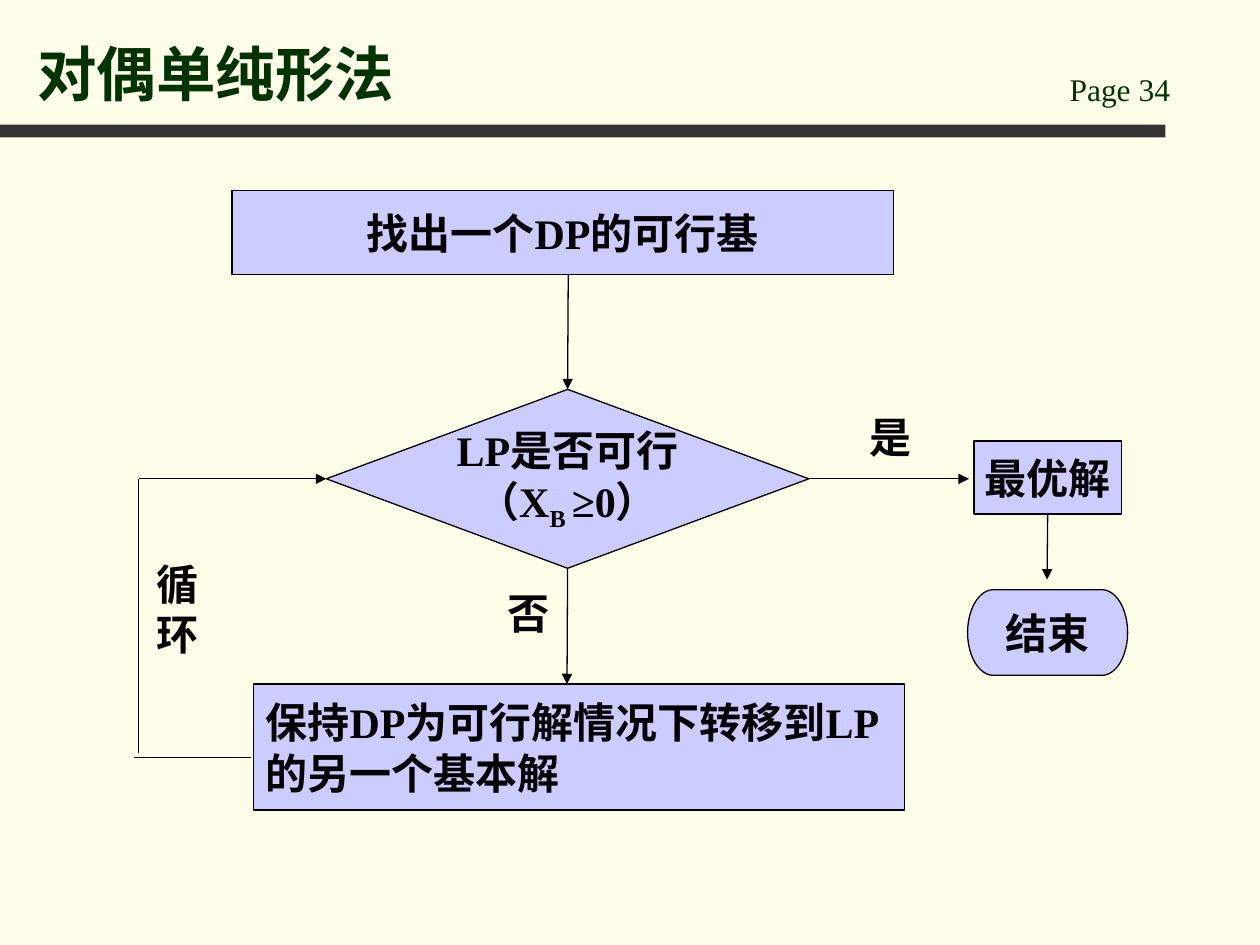
from collections import namedtuple

from lxml.etree import SubElement
from pptx import Presentation
from pptx.dml.color import RGBColor
from pptx.enum.shapes import MSO_CONNECTOR as Connector, MSO_SHAPE as Shape
from pptx.enum.text import MSO_ANCHOR as Anchor, PP_ALIGN as Align
from pptx.oxml.ns import qn
from pptx.util import Inches, Pt

COLUMNS, ROWS = 100, 75
CELL = Inches(0.1)
FONT = "Times New Roman"
GREEN, BLACK, LILAC = "003300", "000000", "CCCCFF"
BODY = {"size": Pt(24), "bold": True, "name": FONT}

Box = namedtuple("Box", "left top width height")


def color(hex_value):
    return RGBColor.from_string(hex_value)


def cells(*counts):
    return [round(count * CELL) for count in counts]


def inside(region, left, top, width, height):
    return Box(region.left + left, region.top + top, width, height)


def write(shape, paragraphs, ink=BLACK, font=BODY, align=Align.LEFT,
          anchor=Anchor.TOP, wrap=False):
    """Each paragraph is a string, or a list of (text, baseline) runs."""
    frame = shape.text_frame
    frame.word_wrap = wrap
    frame.vertical_anchor = anchor
    for index, content in enumerate(paragraphs):
        paragraph = frame.add_paragraph() if index else frame.paragraphs[0]
        paragraph.alignment = align
        runs = [(content, 0)] if isinstance(content, str) else content
        for text, baseline in runs:
            run = paragraph.add_run()
            run.text = text
            for name, value in font.items():
                setattr(run.font, name, value)
            run.font.color.rgb = color(ink)
            if baseline:
                run.font._element.set("baseline", str(baseline * 1000))


def add_text(slide, box, paragraphs, **style):
    write(slide.shapes.add_textbox(*cells(*box)), paragraphs, **style)


def add_block(slide, kind, box, fill, outline=None):
    shape = slide.shapes.add_shape(kind, *cells(*box))
    shape.shadow.inherit = False
    shape.fill.solid()
    shape.fill.fore_color.rgb = color(fill)
    if outline:
        shape.line.color.rgb = color(outline)
        shape.line.width = Pt(0.75)
    else:
        shape.line.fill.background()
    return shape


def add_line(slide, region, start, end, arrow=True):
    points = [(region.left + x, region.top + y) for x, y in (start, end)]
    line = slide.shapes.add_connector(
        Connector.STRAIGHT, *cells(*points[0], *points[1]))
    line.line.color.rgb = color(BLACK)
    line.line.width = Pt(0.75)
    if arrow:
        SubElement(line.line._get_or_add_ln(), qn("a:tailEnd"), type="triangle")
    SubElement(line._element.spPr, qn("a:effectLst"))
    return line


def header(slide, region):
    add_block(slide, Shape.RECTANGLE, inside(region, 0, 9.9, 92.5, 1), "333333")
    add_text(slide, inside(region, 83.9, 5.1, 14.2, 4), ["Page 34"], ink=GREEN,
             font={"size": Pt(18), "name": FONT}, wrap=True)
    add_text(slide, inside(region, 2, 1.3, 80.3, 7.8), ["对偶单纯形法"], ink=GREEN,
             font={**BODY, "size": Pt(34)}, anchor=Anchor.BOTTOM, wrap=True)


def flowchart(slide, region):
    condition = [("（X", 0), ("B ", -25), ("≥0）", 0)]
    steps = {
        "start": (Shape.RECTANGLE, (8.4, 0.1, 52.5, 6.7), ["找出一个DP的可行基"]),
        "check": (Shape.DIAMOND, (15.9, 15.9, 38.3, 14.2),
                  ["LP是否可行", condition]),
        "move": (Shape.RECTANGLE, (10.1, 39.3, 51.7, 10),
                 ["保持DP为可行解情况下转移到LP的另一个基本解"]),
        "optimum": (Shape.RECTANGLE, (67.3, 20, 11.7, 5.8), ["最优解"]),
        "end": (Shape.FLOWCHART_TERMINATOR, (66.8, 31.8, 12.7, 6.8), ["结束"]),
    }
    blocks = {}
    for name, (kind, place, paragraphs) in steps.items():
        block = add_block(slide, kind, inside(region, *place), LILAC, BLACK)
        write(block, paragraphs, anchor=Anchor.MIDDLE,
              align=Align.LEFT if name == "move" else Align.CENTER,
              wrap=name in ("move", "end"))
        blocks[name] = block

    check, optimum = blocks["check"], blocks["optimum"]
    add_line(slide, region, (35.1, 6.8), (35.1, 15.9)).end_connect(check, 0)
    add_line(slide, region, (35, 30.1), (35, 39.3)).begin_connect(check, 2)
    add_line(slide, region, (54.2, 23), (66.9, 23)).begin_connect(check, 3)
    add_line(slide, region, (73.1, 25.8), (73.1, 31)).begin_connect(optimum, 2)
    add_line(slide, region, (1, 23), (15.9, 23)).end_connect(check, 1)
    add_line(slide, region, (1, 23), (1, 44.8), arrow=False)
    add_line(slide, region, (0.6, 45.1), (9.9, 45.1), arrow=False)

    for left, top, paragraphs in ((58, 17.2, ["是"]), (29.3, 31.1, ["否"]),
                                  (1.4, 28.8, ["循", "环"])):
        place = inside(region, left, top, 5.3, 1 + 4 * len(paragraphs))
        add_text(slide, place, paragraphs)


def main():
    presentation = Presentation()
    presentation.slide_width, presentation.slide_height = cells(COLUMNS, ROWS)
    slide = presentation.slides.add_slide(presentation.slide_layouts[6])
    slide.background.fill.solid()
    slide.background.fill.fore_color.rgb = color("FFFFE9")
    header(slide, Box(0, 0, COLUMNS, 11))
    flowchart(slide, Box(10, 15, 80, 50))
    presentation.save("out.pptx")


if __name__ == "__main__":
    main()
